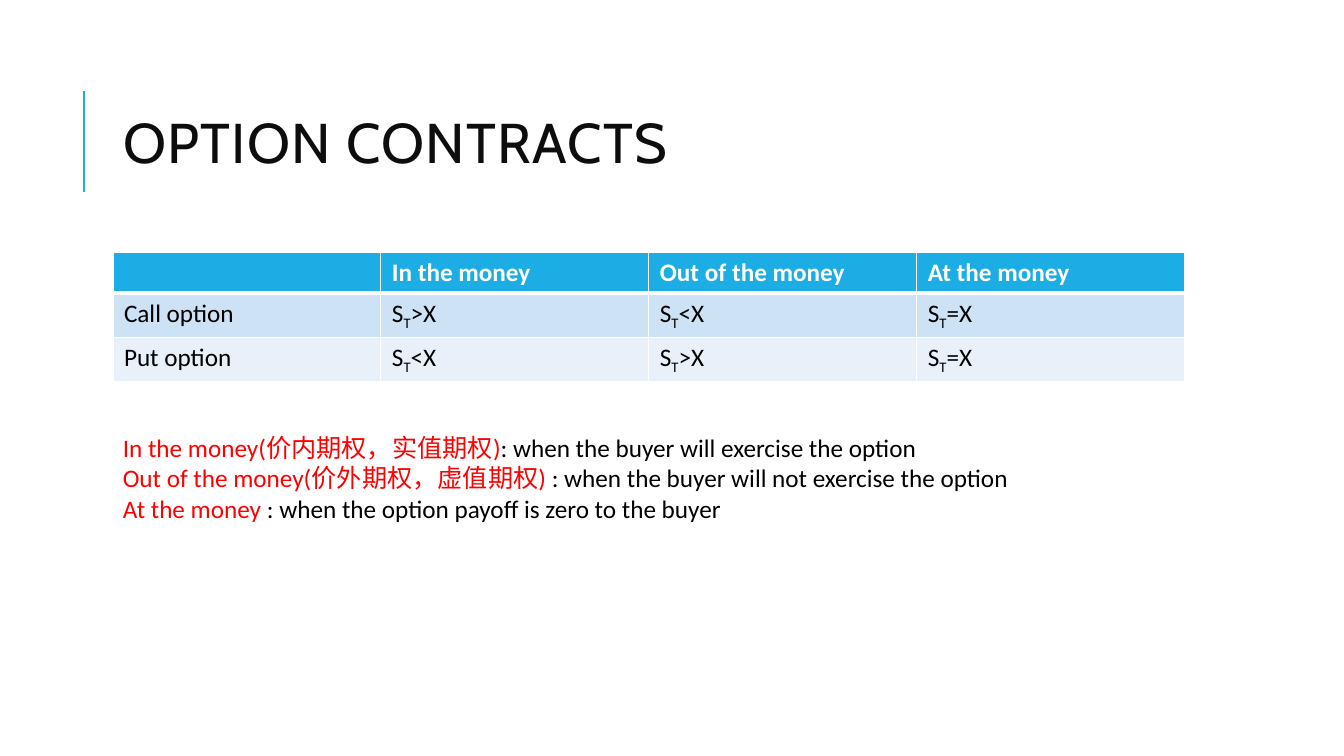
from lxml import etree
from pptx import Presentation
from pptx.dml.color import RGBColor
from pptx.enum.shapes import MSO_CONNECTOR
from pptx.enum.text import MSO_ANCHOR, MSO_AUTO_SIZE, PP_ALIGN
from pptx.oxml.ns import qn
from pptx.util import Inches, Pt

STRAIGHT = MSO_CONNECTOR.STRAIGHT
MIDDLE = MSO_ANCHOR.MIDDLE
LEFT = PP_ALIGN.LEFT
GROW = MSO_AUTO_SIZE.SHAPE_TO_FIT_TEXT

BLUE, RED, BLACK, WHITE = "1CADE4", "FF0000", "000000", "FFFFFF"
BAND_FILLS = ["CDE3F5", "E8F1FA"]
MARGIN, CONTENT_WIDTH = 1.12, 10.63

# A relation stands for the price at expiry, S with subscript T, against X
HEADINGS = ["", "In the money", "Out of the money", "At the money"]
OPTIONS = [("Call option", [">X", "<X", "=X"]),
           ("Put option", ["<X", ">X", "=X"])]
DEFINITIONS = [
    ("In the money(价内期权，实值期权)", ": when the buyer will exercise the option"),
    ("Out of the money(价外期权，虚值期权) ", ": when the buyer will not exercise the option"),
    ("At the money ", ": when the option payoff is zero to the buyer"),
]


def color(hex_string):
    return RGBColor.from_string(hex_string)


def style(para, size, name="Calibri", hex_color=None, bold=False):
    para.font.size = Pt(size)
    para.font.name = name
    para.font.bold = bold
    if hex_color:
        para.font.color.rgb = color(hex_color)


def add_span(para, text, hex_color=None, baseline=None):
    span = para.add_run()
    span.text = text
    if hex_color:
        span.font.color.rgb = color(hex_color)
    if baseline:
        span.font._element.set("baseline", str(baseline))


def add_title(page, text):
    title = page.shapes.title
    title.left, title.top = Inches(MARGIN), Inches(0.64)
    title.width, title.height = Inches(CONTENT_WIDTH), Inches(1.64)
    title.text_frame.vertical_anchor = MIDDLE
    title.text_frame.auto_size = MSO_AUTO_SIZE.NONE
    para = title.text_frame.paragraphs[0]
    para.alignment = LEFT
    para.line_spacing = 0.8
    style(para, 40, "Cabin", "0D0D0D")
    add_span(para, text)
    para.runs[0].font._element.set("spc", "100")


def add_accent_line(page):
    line = page.shapes.add_connector(
        STRAIGHT, Inches(0.83), Inches(1.9), Inches(0.83), Inches(0.9))
    line.line.color.rgb = color(BLUE)
    line.line.width = Pt(1.5)
    etree.SubElement(line._element.spPr, qn("a:effectLst"))


def format_cell(cell, fill, bottom_width=1, top_width=1):
    # Borders come before the fill in the cell properties
    properties = cell._tc.get_or_add_tcPr()
    widths = {"a:lnL": 1, "a:lnR": 1, "a:lnT": top_width, "a:lnB": bottom_width}
    for side, width in widths.items():
        border = etree.SubElement(properties, qn(side), w=str(Pt(width)))
        solid = etree.SubElement(border, qn("a:solidFill"))
        etree.SubElement(solid, qn("a:srgbClr"), val=WHITE)
    cell.fill.solid()
    cell.fill.fore_color.rgb = color(fill)
    cell.margin_left = cell.margin_right = Inches(0.11)
    cell.margin_top = cell.margin_bottom = Inches(0.05)


def add_moneyness_table(page):
    frame = page.shapes.add_table(
        len(OPTIONS) + 1, len(HEADINGS), Inches(MARGIN), Inches(2.5),
        Inches(CONTENT_WIDTH), Inches(1.22))
    table = frame.table

    # Header row
    for column, heading in enumerate(HEADINGS):
        cell = table.cell(0, column)
        format_cell(cell, BLUE, bottom_width=3)
        para = cell.text_frame.paragraphs[0]
        style(para, 18, hex_color=WHITE, bold=True)
        if heading:
            add_span(para, heading)

    # One row for each kind of option
    for row, (option, relations) in enumerate(OPTIONS, start=1):
        for column in range(len(HEADINGS)):
            cell = table.cell(row, column)
            format_cell(cell, BAND_FILLS[row - 1], top_width=3 if row == 1 else 1)
            para = cell.text_frame.paragraphs[0]
            style(para, 18, hex_color=BLACK)
            if column == 0:
                add_span(para, option)
            else:
                add_span(para, "S")
                add_span(para, "T", baseline=-25000)
                add_span(para, relations[column - 1])


def add_definitions(page):
    box = page.shapes.add_textbox(
        Inches(MARGIN), Inches(4.24), Inches(9.4), Inches(1.31))
    text_frame = box.text_frame
    text_frame.word_wrap = True
    text_frame.auto_size = GROW
    for index, (term, meaning) in enumerate(DEFINITIONS):
        para = text_frame.add_paragraph() if index else text_frame.paragraphs[0]
        style(para, 18)
        add_span(para, term, RED)
        add_span(para, meaning, BLACK)


def main():
    deck = Presentation()
    deck.slide_width, deck.slide_height = Inches(13.33), Inches(7.5)
    page = deck.slides.add_slide(deck.slide_layouts.get_by_name("Title Only"))
    add_accent_line(page)
    add_title(page, "OPTION CONTRACTS")
    add_moneyness_table(page)
    add_definitions(page)
    deck.save("out.pptx")


if __name__ == "__main__":
    main()
